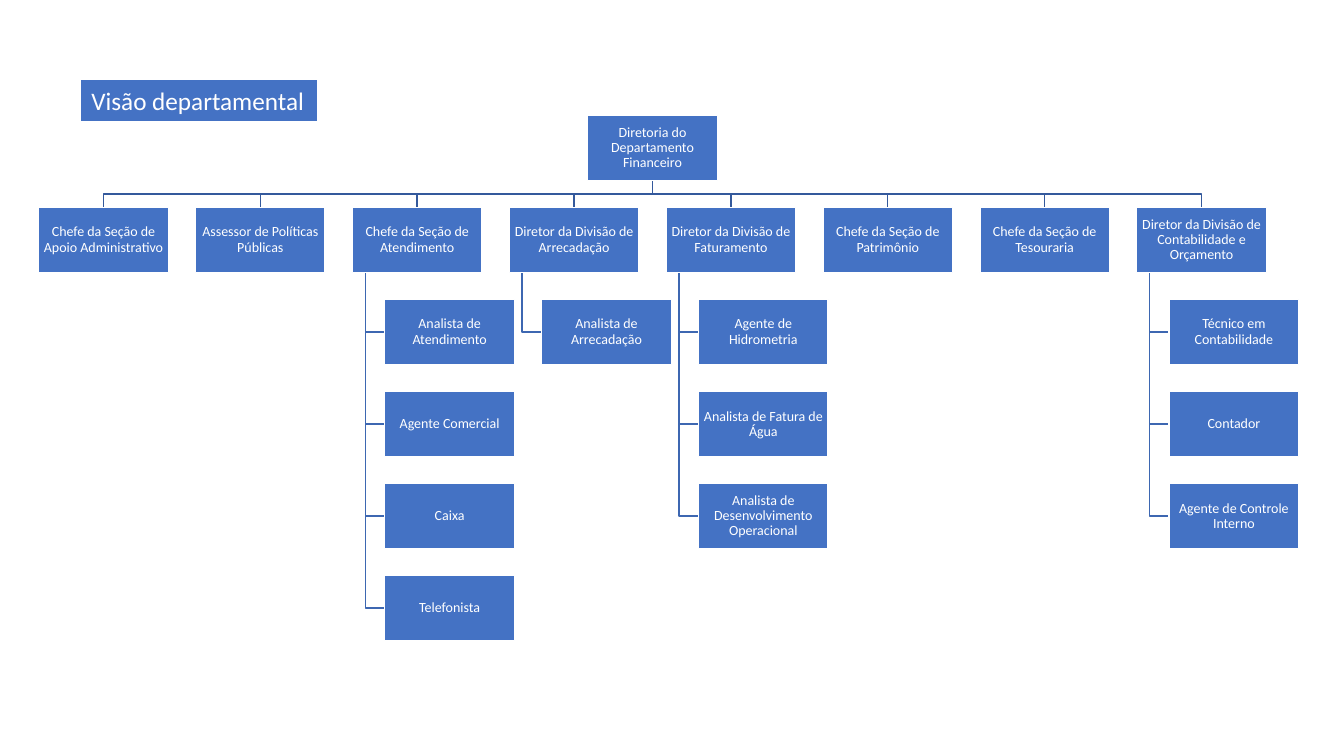
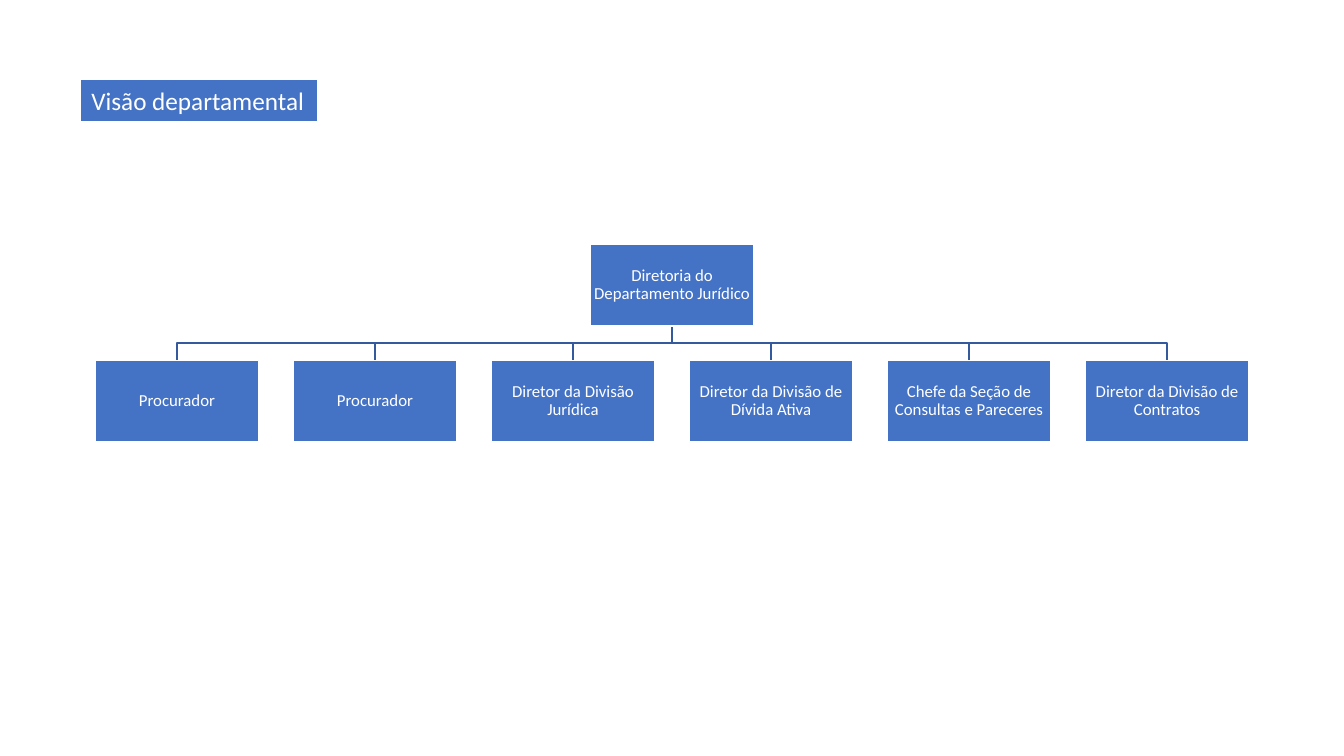
"""Build two departmental organisation charts: finance and legal."""
from pptx import Presentation
from pptx.dml.color import RGBColor
from pptx.enum.shapes import MSO_SHAPE
from pptx.enum.text import MSO_ANCHOR, MSO_AUTO_SIZE, PP_ALIGN
from pptx.util import Pt

COLORS = {"box": "4472C4", "text": "FFFFFF", "division": "34599C", "staff": "3D67B1"}
FONT = "Calibri"

FINANCE = [
    ("Chefe da Seção de Apoio Administrativo", []),
    ("Assessor de Políticas Públicas", []),
    ("Chefe da Seção de Atendimento",
     ["Analista de Atendimento", "Agente Comercial", "Caixa", "Telefonista"]),
    ("Diretor da Divisão de Arrecadação", ["Analista de Arrecadação"]),
    ("Diretor da Divisão de Faturamento",
     ["Agente de Hidrometria", "Analista de Fatura de Água",
      "Analista de Desenvolvimento Operacional"]),
    ("Chefe da Seção de Patrimônio", []),
    ("Chefe da Seção de Tesouraria", []),
    ("Diretor da Divisão de Contabilidade e Orçamento",
     ["Técnico em Contabilidade", "Contador", "Agente de Controle Interno"]),
]
LEGAL = [
    ("Procurador", []),
    ("Procurador", []),
    ("Diretor da Divisão Jurídica", []),
    ("Diretor da Divisão de Dívida Ativa", []),
    ("Chefe da Seção de Consultas e Pareceres", []),
    ("Diretor da Divisão de Contratos", []),
]
DEPARTMENTS = [
    {"head": "Diretoria do Departamento Financeiro", "divisions": FINANCE,
     "left": 27.6, "top": 82.5, "width": 92.6, "size": 10, "after": 4},
    {"head": "Diretoria do Departamento Jurídico", "divisions": LEGAL,
     "left": 68, "top": 174.4, "width": 116.9, "size": 12, "after": 5},
]


def add_post(slide, department, post, left, top):
    width = department["width"]
    box = slide.shapes.add_shape(
        MSO_SHAPE.RECTANGLE, Pt(left), Pt(top), Pt(width), Pt(width / 2))
    box.shadow.inherit = False
    box.fill.solid()
    box.fill.fore_color.rgb = RGBColor.from_string(COLORS["box"])
    box.line.color.rgb = RGBColor.from_string(COLORS["text"])
    box.line.width = Pt(1)
    frame = box.text_frame
    frame.word_wrap = True
    frame.vertical_anchor = MSO_ANCHOR.MIDDLE
    frame.margin_left = frame.margin_right = Pt(0.5)
    frame.margin_top = frame.margin_bottom = Pt(0.5)
    paragraph = frame.paragraphs[0]
    paragraph.alignment = PP_ALIGN.CENTER
    paragraph.line_spacing = 0.9
    paragraph.space_after = Pt(department["after"])
    run = paragraph.add_run()
    run.text = post
    run.font.name = FONT
    run.font.size = Pt(department["size"])
    run.font.color.rgb = RGBColor.from_string(COLORS["text"])


def add_link(slide, level, points):
    corners = [(Pt(x), Pt(y)) for x, y in points]
    builder = slide.shapes.build_freeform(*corners[0])
    builder.add_line_segments(corners[1:], close=False)
    link = builder.convert_to_shape()
    link.shadow.inherit = False
    link.fill.background()
    link.line.color.rgb = RGBColor.from_string(COLORS[level])
    link.line.width = Pt(1)


prs = Presentation()
prs.slide_width, prs.slide_height = Pt(960), Pt(540)

for department in DEPARTMENTS:
    slide = prs.slides.add_slide(prs.slide_layouts[5])
    title = slide.shapes.title
    title.left, title.top, title.width, title.height = Pt(58), Pt(57.3), Pt(168.4), Pt(29.1)
    title.fill.solid()
    title.fill.fore_color.rgb = RGBColor.from_string(COLORS["box"])
    title.text_frame.auto_size = MSO_AUTO_SIZE.NONE
    title.text_frame.word_wrap = False
    title.text_frame.vertical_anchor = MSO_ANCHOR.TOP
    heading = title.text_frame.paragraphs[0]
    heading.alignment = PP_ALIGN.LEFT
    heading_run = heading.add_run()
    heading_run.text = "Visão departamental"
    heading_run.font.name = FONT
    heading_run.font.size = Pt(18)
    heading_run.font.color.rgb = RGBColor.from_string(COLORS["text"])

    width = department["width"]
    height = width / 2
    gap = 0.21 * width
    pitch = width + gap
    row_step = height + gap
    head_left = department["left"] + (len(department["divisions"]) - 1) * pitch / 2
    head_center = head_left + width / 2
    head_bottom = department["top"] + height
    division_top = head_bottom + gap
    bus = head_bottom + gap / 2

    posts = [(department["head"], head_left, department["top"])]
    for column, (division, staff) in enumerate(department["divisions"]):
        left = department["left"] + column * pitch
        center = left + width / 2
        posts.append((division, left, division_top))
        add_link(slide, "division", [(head_center, head_bottom), (head_center, bus),
                                     (center, bus), (center, division_top)])

        spine = left + 0.1 * width
        staff_left = left + 0.25 * width
        for row, post in enumerate(staff, 1):
            staff_top = division_top + row * row_step
            staff_middle = staff_top + height / 2
            posts.append((post, staff_left, staff_top))
            add_link(slide, "staff", [(spine, division_top + height), (spine, staff_middle),
                                      (staff_left, staff_middle)])

    for post, left, top in posts:
        add_post(slide, department, post, left, top)

prs.save("out.pptx")
